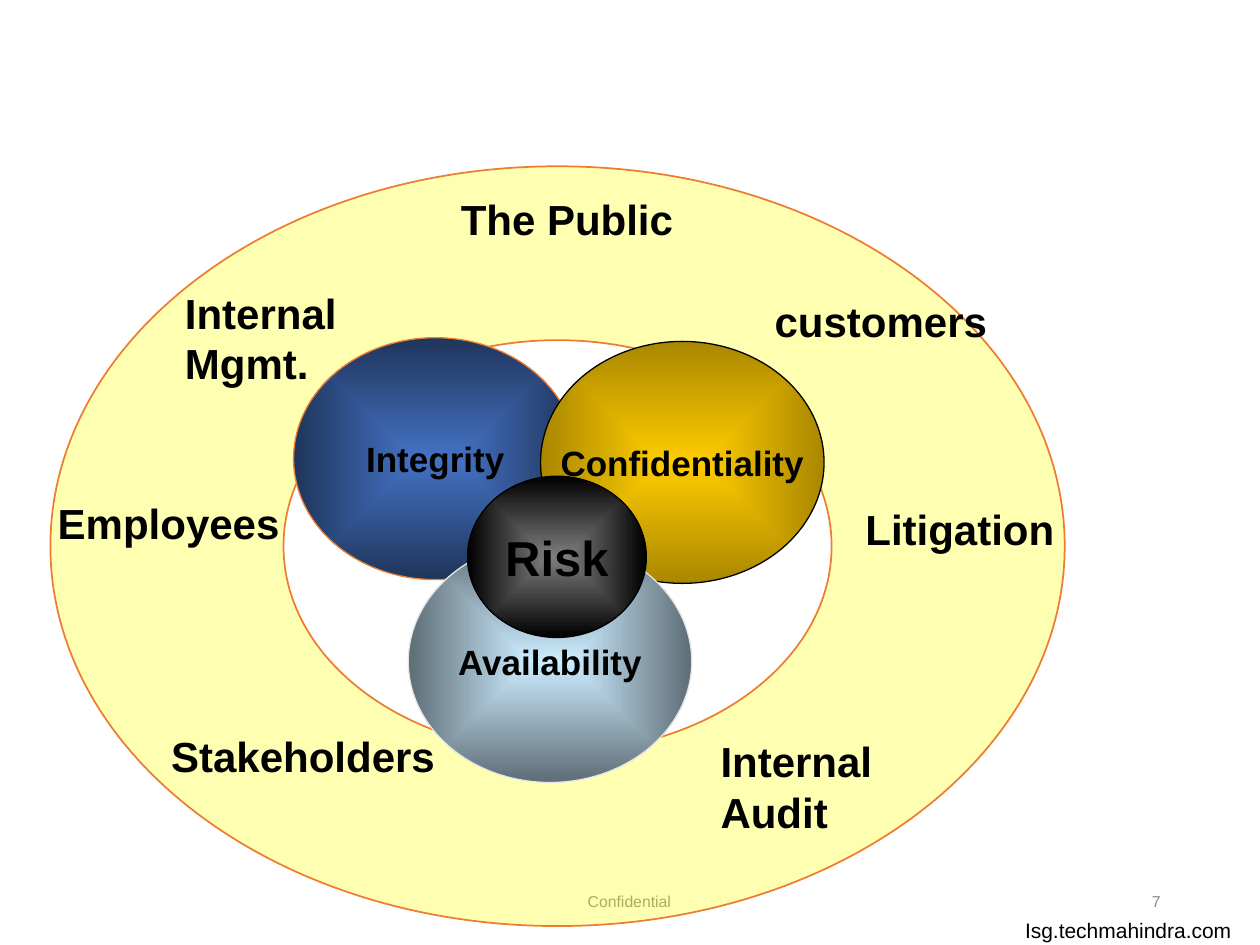
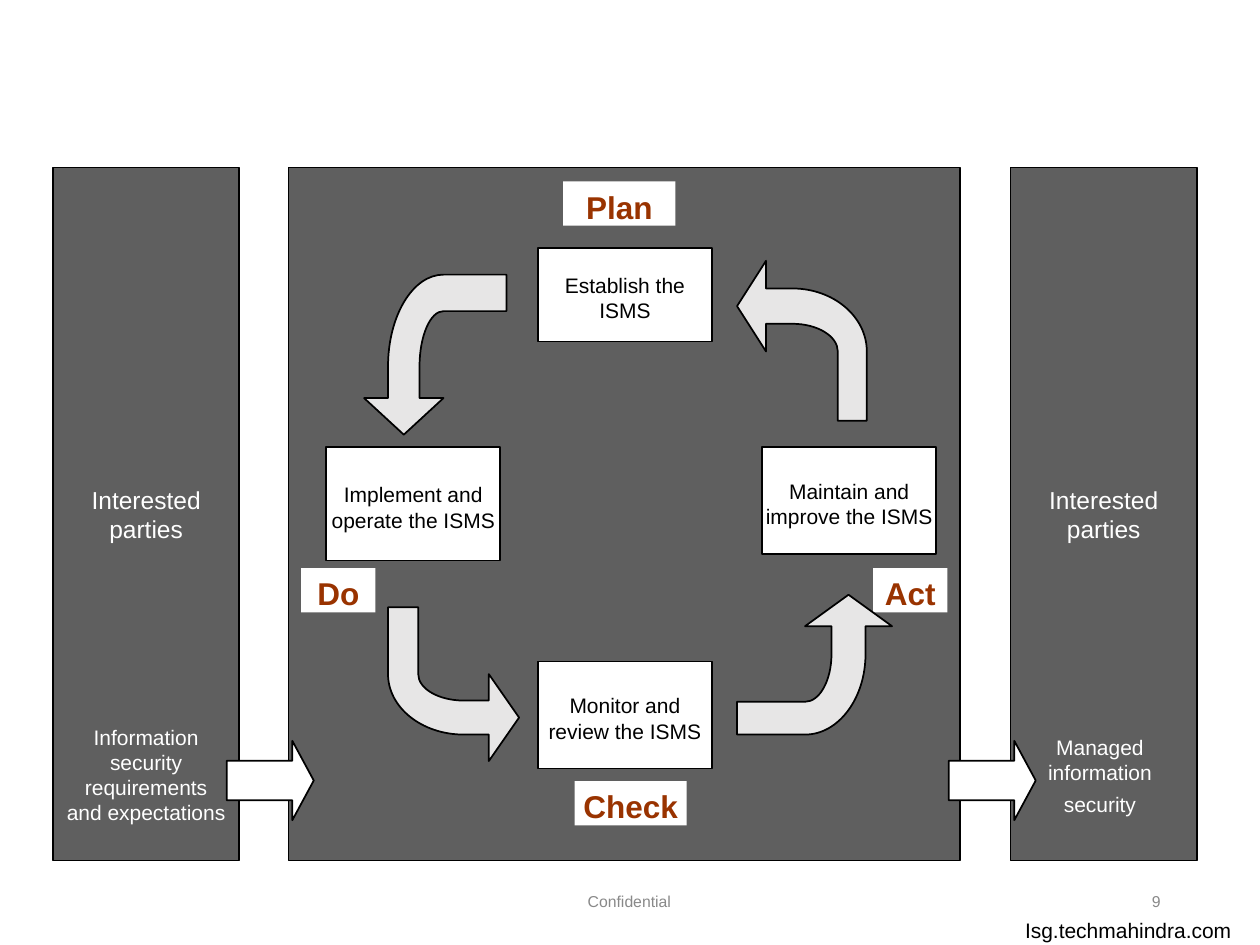
from dataclasses import dataclass
from typing import Optional

import pptx
import pptx.dml.color
import pptx.enum.shapes
import pptx.enum.text
import pptx.oxml.ns
import pptx.presentation
import pptx.shapes.autoshape
import pptx.slide
import pptx.util
from lxml import etree

PX = 9144  # EMU per px, 100 px to the inch
KAPPA = 0.5523  # handle length that bends a cubic curve into a quarter ellipse
FONT = "Arial"
COLORS = {
    "black": "000000",
    "white": "FFFFFF",
    "footer": "898989",
    "ring": "FFFF00",
    "orange": "ED7D31",
    "blue": "4472C4",
    "navy": "1F355B",
    "gold": "FFCC00",
    "bronze": "A98700",
    "sky": "CCECFF",
    "slate": "5E6D76",
    "smoke": "7E7E7E",
    "silver": "E7E6E6",
    "panel": "5F5F5F",
    "phase": "993300",
}
SHAPES = pptx.enum.shapes.MSO_SHAPE
ALIGN = pptx.enum.text.PP_ALIGN
ANCHOR = pptx.enum.text.MSO_ANCHOR
qn = pptx.oxml.ns.qn

Slide = pptx.slide.Slide
Shape = pptx.shapes.autoshape.Shape
Point = tuple[float, float]
Segment = list[Point]  # one point for a line, three for a cubic curve


@dataclass(frozen=True)
class Box:
    left: int
    top: int
    width: int
    height: int

    def emu(self) -> list[int]:
        return [v * PX for v in (self.left, self.top, self.width, self.height)]


@dataclass(frozen=True)
class TextStyle:
    size: int
    color: str = "black"
    bold: bool = False
    align: ALIGN = ALIGN.CENTER
    anchor: ANCHOR = ANCHOR.MIDDLE
    wrap: bool = True
    insets: tuple[int, int, int, int] = (10, 5, 10, 5)


@dataclass(frozen=True)
class Sphere:
    text: str
    box: Box
    inner: str
    outer: str
    line: str
    size: int = 20


@dataclass(frozen=True)
class Block:
    text: str
    box: Box
    style: TextStyle
    fill: str = "white"
    line: Optional[str] = "black"


@dataclass(frozen=True)
class BentArrow:
    """Positions along the head's axis, then across it; outer is the long side of the bend."""
    vertical: bool
    tip: int
    base: int
    bend: int
    far: int
    near: int
    head_outer: int
    outer: int
    inner: int
    head_inner: int
    tail: int


TIGHT = (0, 5, 0, 0)
URL = TextStyle(12, wrap=False)
FOOTER = TextStyle(9, "footer")
PAGE_NUMBER = TextStyle(9, "footer", align=ALIGN.RIGHT)
PARTY = TextStyle(24, bold=True, align=ALIGN.LEFT, anchor=ANCHOR.TOP)
PUBLIC = TextStyle(24, bold=True, anchor=ANCHOR.TOP)
STEP = TextStyle(12, insets=TIGHT)
PHASE = TextStyle(18, "phase", bold=True, anchor=ANCHOR.TOP, insets=TIGHT)
PANEL = TextStyle(14, "white")
PANEL_NOTE = TextStyle(12, "white", anchor=ANCHOR.TOP)

RING_EDGES = [Box(40, 132, 805, 603), Box(225, 270, 435, 327)]
PARTIES = [
    ("Internal\nMgmt.", Box(137, 223, 244, 90), PARTY),
    ("customers", Box(605, 230, 204, 50), PARTY),
    ("Employees", Box(36, 390, 228, 50), PARTY),
    ("Stakeholders", Box(126, 575, 271, 50), PARTY),
    ("Litigation", Box(677, 395, 179, 50), PARTY),
    ("Internal\nAudit", Box(562, 579, 258, 90), PARTY),
    ("The Public", Box(321, 149, 258, 50), PUBLIC),
]
SPHERES = [
    Sphere("Integrity", Box(233, 268, 225, 192), "blue", "navy", "orange"),
    Sphere("Confidentiality", Box(429, 271, 225, 192), "gold", "bronze", "black"),
    Sphere("Availability", Box(324, 429, 225, 192), "sky", "slate", "silver"),
    Sphere("Risk", Box(371, 378, 142, 128), "smoke", "black", "black", 28),
]

PANEL_LEFTS = (42, 802)
BLOCKS = [
    Block("", Box(229, 133, 533, 550), PANEL, "panel"),
    *[Block("Interested parties", Box(left, 133, 148, 550), PANEL, "panel")
      for left in PANEL_LEFTS],
    Block("Establish the ISMS", Box(427, 197, 138, 74), STEP),
    Block("Plan", Box(447, 144, 89, 35), PHASE, line=None),
    Block("Implement and operate the ISMS", Box(259, 355, 138, 90), STEP),
    Block("Do", Box(239, 451, 59, 35), PHASE, line=None),
    Block("Maintain and improve the ISMS", Box(605, 355, 138, 85), STEP),
    Block("Act", Box(693, 451, 59, 35), PHASE, line=None),
    Block("Monitor and review the ISMS", Box(427, 525, 138, 85), STEP),
    Block("Check", Box(456, 620, 89, 35), PHASE, line=None),
]
CYCLE_ARROWS = [
    BentArrow(True, 345, 316, 291, 218, 247, 289, 308, 333, 352, 402),
    BentArrow(False, 585, 608, 629, 688, 665, 207, 229, 257, 279, 334),
    BentArrow(True, 472, 497, 519, 583, 557, 708, 687, 660, 639, 585),
    BentArrow(False, 412, 388, 368, 308, 332, 604, 583, 556, 535, 482),
]
FLOW_ARROW_LEFTS = (180, 753)


def rgb(name: str) -> pptx.dml.color.RGBColor:
    return pptx.dml.color.RGBColor.from_string(COLORS[name])


def paint(shape: Shape, fill: Optional[str], line: Optional[str], width: float = 1) -> None:
    shape.shadow.inherit = False
    if fill:
        shape.fill.solid()
        shape.fill.fore_color.rgb = rgb(fill)
    if line:
        shape.line.color.rgb = rgb(line)
        shape.line.width = pptx.util.Pt(width)
    else:
        shape.line.fill.background()


def write(shape: Shape, text: str, style: TextStyle) -> None:
    frame = shape.text_frame
    frame.text = text
    frame.word_wrap = style.wrap
    frame.vertical_anchor = style.anchor
    (frame.margin_left, frame.margin_top,
     frame.margin_right, frame.margin_bottom) = [inset * PX for inset in style.insets]
    for paragraph in frame.paragraphs:
        paragraph.alignment = style.align
        for run in paragraph.runs:
            run.font.name = FONT
            run.font.size = pptx.util.Pt(style.size)
            run.font.bold = style.bold
            run.font.color.rgb = rgb(style.color)


def add_label(slide: Slide, text: str, box: Box, style: TextStyle) -> Shape:
    label = slide.shapes.add_textbox(*box.emu())
    write(label, text, style)
    return label


def add_block(slide: Slide, block: Block) -> None:
    shape = slide.shapes.add_shape(SHAPES.RECTANGLE, *block.box.emu())
    paint(shape, block.fill, block.line)
    if block.text:
        write(shape, block.text, block.style)


def quarter_bend(start: Point, end: Point, corner: Point) -> Segment:
    handles = [tuple(p + KAPPA * (c - p) for p, c in zip(point, corner))
               for point in (start, end)]
    return [*handles, end]


def ellipse_contour(box: Box) -> list[Segment]:
    right, bottom = box.left + box.width, box.top + box.height
    middle_x, middle_y = box.left + box.width / 2, box.top + box.height / 2
    sides = [(box.left, middle_y), (middle_x, box.top), (right, middle_y), (middle_x, bottom)]
    corners = [(box.left, box.top), (right, box.top), (right, bottom), (box.left, bottom)]
    return [sides[:1], *map(quarter_bend, sides, sides[1:] + sides[:1], corners)]


def add_outline(slide: Slide, contours: list[list[Segment]]) -> Shape:
    """Draw closed contours, each a start point followed by lines and cubic curves."""
    scaled = [[(x * PX, y * PX) for segment in contour for x, y in segment]
              for contour in contours]
    builder = slide.shapes.build_freeform(*scaled[0][0], scale=1.0)
    for index, points in enumerate(scaled):
        if index:
            builder.move_to(*points[0])
        builder.add_line_segments(points[1:], close=True)
    shape = builder.convert_to_shape()
    steps = iter(list(shape._element.spPr.iter(qn("a:lnTo"))))
    for segment in (segment for contour in contours for segment in contour[1:]):
        first, *others = [next(steps) for _ in segment]
        if others:
            first.tag = qn("a:cubicBezTo")
            for step in others:
                first.append(step[0])
                step.getparent().remove(step)
    return shape


def add_ring(slide: Slide) -> None:
    ring = add_outline(slide, [ellipse_contour(edge) for edge in RING_EDGES])
    paint(ring, "ring", "orange")
    color = ring._element.spPr.find(".//" + qn("a:srgbClr"))
    etree.SubElement(color, qn("a:alpha"), val="30000")


def add_sphere(slide: Slide, sphere: Sphere) -> None:
    """Ellipse shaded from its center outwards."""
    shape = slide.shapes.add_shape(SHAPES.OVAL, *sphere.box.emu())
    shape.fill.gradient()
    for stop, color in zip(shape.fill.gradient_stops, (sphere.inner, sphere.outer)):
        stop.color.rgb = rgb(color)
    gradient = shape._element.spPr.find(qn("a:gradFill"))
    radial = etree.Element(qn("a:path"), {"path": "rect"})
    etree.SubElement(radial, qn("a:fillToRect"), dict.fromkeys("ltrb", "50000"))
    gradient.replace(gradient.find(qn("a:lin")), radial)
    paint(shape, None, sphere.line, 0.75)
    write(shape, sphere.text, TextStyle(sphere.size, bold=True, wrap=False))


def add_bent_arrow(slide: Slide, arrow: BentArrow) -> None:
    a = arrow
    contour = [
        [((a.head_outer + a.head_inner) / 2, a.tip)],
        [(a.head_outer, a.base)],
        [(a.outer, a.base)],
        [(a.outer, a.bend)],
        quarter_bend((a.outer, a.bend), (a.head_inner, a.far), (a.outer, a.far)),
        [(a.tail, a.far)],
        [(a.tail, a.near)],
        [(a.head_inner, a.near)],
        quarter_bend((a.head_inner, a.near), (a.inner, a.bend), (a.inner, a.near)),
        [(a.inner, a.base)],
        [(a.head_inner, a.base)],
    ]
    if not a.vertical:
        contour = [[point[::-1] for point in segment] for segment in contour]
    paint(add_outline(slide, [contour]), "silver", "black")


def add_flow_arrow(slide: Slide, left: int) -> None:
    arrow = slide.shapes.add_shape(SHAPES.RIGHT_ARROW, *Box(left, 588, 69, 63).emu())
    arrow.adjustments[1] = 0.27
    paint(arrow, "white", "black")


def new_slide(deck: pptx.presentation.Presentation, number: int) -> Slide:
    slide = deck.slides.add_slide(deck.slide_layouts[6])
    add_label(slide, "Isg.techmahindra.com", Box(800, 717, 191, 42), URL)
    add_label(slide, "Confidential", Box(331, 695, 337, 40), FOOTER)
    add_label(slide, str(number), Box(706, 695, 225, 40), PAGE_NUMBER)
    return slide


def build_risk_slide(slide: Slide) -> None:
    add_ring(slide)
    for text, box, style in PARTIES:
        add_label(slide, text, box, style)
    for sphere in SPHERES:
        add_sphere(slide, sphere)


def build_cycle_slide(slide: Slide) -> None:
    for block in BLOCKS:
        add_block(slide, block)
    for arrow in CYCLE_ARROWS:
        add_bent_arrow(slide, arrow)
    for left in FLOW_ARROW_LEFTS:
        add_flow_arrow(slide, left)
    add_label(slide, "Information security requirements and expectations",
              Box(42, 570, 148, 117), PANEL_NOTE)
    result = add_label(slide, "Managed information\nsecurity",
                       Box(799, 578, 148, 77), PANEL_NOTE)
    result.text_frame.paragraphs[1].space_before = pptx.util.Pt(4)


def main() -> None:
    deck = pptx.Presentation()
    deck.slide_width, deck.slide_height = 1000 * PX, 750 * PX
    build_risk_slide(new_slide(deck, 7))
    build_cycle_slide(new_slide(deck, 9))
    deck.save("out.pptx")


if __name__ == "__main__":
    main()
